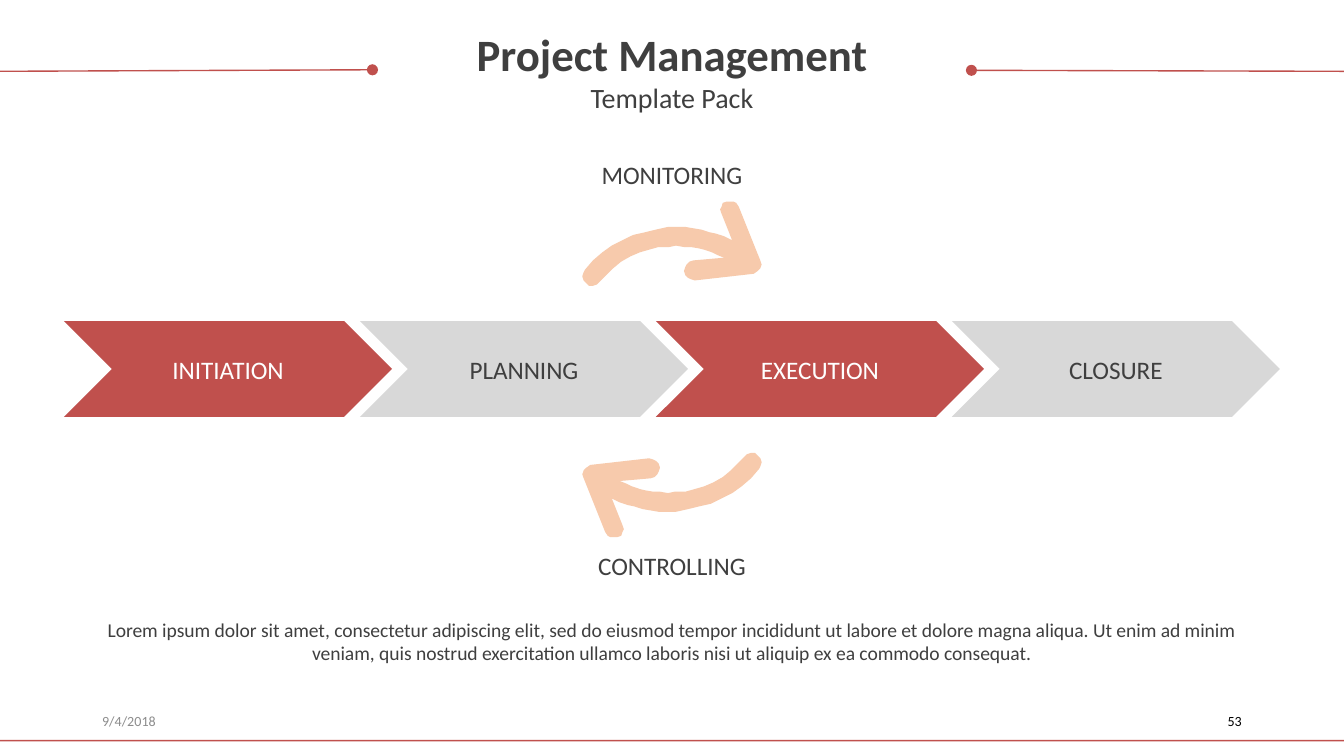
import dataclasses
import typing

import pptx
import pptx.dml.color
import pptx.enum.shapes
import pptx.enum.text
import pptx.oxml
import pptx.oxml.ns
import pptx.util

Cm = pptx.util.Cm
Align = pptx.enum.text.PP_ALIGN
Anchor = pptx.enum.text.MSO_ANCHOR


class Box(typing.NamedTuple):
    left: float
    top: float
    width: float
    height: float

    def lengths(self):
        return [Cm(value) for value in self]


@dataclasses.dataclass(frozen=True)
class Theme:
    font: str = "Calibri"
    accent: str = "C0504D"
    neutral: str = "D8D8D8"
    arrow: str = "F7CAAC"
    text: str = "3F3F3F"
    light: str = "FFFFFF"
    muted: str = "8C8C8C"
    black: str = "000000"
    title_size: float = 24
    subtitle_size: float = 15
    label_size: float = 13.5
    body_size: float = 10.5
    footer_size: float = 7.5
    rule_width: float = 0.75


THEME = Theme()
PADDING = (0.18, 0.1)
STAGES = ["INITIATION", "PLANNING", "EXECUTION", "CLOSURE"]
SUMMARY = (
    "Lorem ipsum dolor sit amet, consectetur adipiscing elit, sed do eiusmod "
    "tempor incididunt ut labore et dolore magna aliqua. Ut enim ad minim "
    "veniam, quis nostrud exercitation ullamco laboris nisi ut aliquip ex ea "
    "commodo consequat."
)
ARROW_GRID_WIDTH = 134
ARROW_OUTLINE = [
    (13, 60), (11, 62), (8, 63), (5, 63), (3, 61), (1, 59), (0, 56), (1, 53),
    (2, 51), (8, 44), (15, 38), (22, 33), (30, 29), (38, 25), (47, 23),
    (55, 21), (64, 19), (70, 19), (77, 19), (83, 20), (89, 21), (95, 23),
    (100, 24), (106, 26), (112, 29), (104, 9), (103, 6), (104, 4), (105, 1),
    (108, 0), (113, 0), (115, 1), (117, 4), (133, 44), (134, 47), (133, 50),
    (131, 52), (128, 54), (84, 59), (81, 58), (79, 57), (77, 55), (76, 52),
    (77, 49), (78, 47), (80, 45), (83, 44), (106, 42), (101, 40), (97, 38),
    (91, 36), (87, 35), (81, 34), (76, 34), (70, 33), (65, 34), (57, 34),
    (50, 36), (43, 38), (36, 41), (29, 45), (23, 50), (18, 55),
]


def rgb(value):
    return pptx.dml.color.RGBColor.from_string(value)


def paint(shape, color):
    shape.shadow.inherit = False
    shape.fill.solid()
    shape.fill.fore_color.rgb = rgb(color)
    shape.line.fill.background()


def prepare_frame(shape, anchor, padding):
    frame = shape.text_frame
    frame.word_wrap = True
    frame.vertical_anchor = anchor
    frame.margin_left = frame.margin_right = Cm(padding[0])
    frame.margin_top = frame.margin_bottom = Cm(padding[1])
    return frame


def add_span(para, text, size, color, align=Align.CENTER, bold=False):
    para.alignment = align
    span = para.add_run()
    span.text = text
    span.font.name = THEME.font
    span.font.size = pptx.util.Pt(size)
    span.font.bold = bold
    span.font.color.rgb = rgb(color)


def add_text(page, box, text, size, color=THEME.text, align=Align.CENTER,
             anchor=Anchor.MIDDLE, padding=(0, 0)):
    shape = page.shapes.add_textbox(*box.lengths())
    frame = prepare_frame(shape, anchor, padding)
    add_span(frame.paragraphs[0], text, size, color, align)


def add_border(page, box, gap_left, gap_right):
    right, bottom = box.left + box.width, box.top + box.height
    corners = [
        (gap_right, box.top - 0.02), (right, box.top), (right, bottom),
        (box.left, bottom), (box.left, box.top), (gap_left, box.top - 0.03),
    ]
    points = [(Cm(x), Cm(y)) for x, y in corners]
    builder = page.shapes.build_freeform(*points[0], scale=1.0)
    builder.add_line_segments(points[1:], close=False)
    border = builder.convert_to_shape()
    border.shadow.inherit = False
    border.fill.background()
    border.line.color.rgb = rgb(THEME.accent)
    border.line.width = pptx.util.Pt(THEME.rule_width)
    line = border.line._get_or_add_ln()
    for tag in ("a:headEnd", "a:tailEnd"):
        end = pptx.oxml.parse_xml(f"<{tag} {pptx.oxml.ns.nsdecls('a')} type='oval'/>")
        line.append(end)


def add_heading(page, box):
    shape = page.shapes.add_textbox(*box.lengths())
    frame = prepare_frame(shape, Anchor.TOP, (0, 0))
    add_span(frame.paragraphs[0], "Project Management", THEME.title_size,
             THEME.text, bold=True)
    add_span(frame.add_paragraph(), "Template Pack", THEME.subtitle_size, THEME.text)


def add_footer(page, box):
    width = 5.72
    right = box.left + box.width - width
    add_text(page, Box(box.left, box.top, width, box.height), "9/4/2018",
             THEME.footer_size, THEME.muted, Align.LEFT, padding=PADDING)
    add_text(page, Box(right, box.top, width, box.height), "53",
             THEME.footer_size, THEME.black, Align.RIGHT, padding=PADDING)


def add_stages(page, box, width):
    pitch = (box.width - width) / (len(STAGES) - 1)
    styles = [(THEME.accent, THEME.light), (THEME.neutral, THEME.text)]
    for index, name in enumerate(STAGES):
        fill, color = styles[index % 2]
        place = Box(box.left + index * pitch, box.top, width, box.height)
        chevron = page.shapes.add_shape(
            pptx.enum.shapes.MSO_SHAPE.CHEVRON, *place.lengths())
        chevron.adjustments[0] = 0.5
        paint(chevron, fill)
        frame = prepare_frame(chevron, Anchor.MIDDLE, PADDING)
        add_span(frame.paragraphs[0], name, THEME.label_size, color)


def add_cycle_arrow(page, box, rotation):
    scale = Cm(box.width) / ARROW_GRID_WIDTH
    builder = page.shapes.build_freeform(*ARROW_OUTLINE[0], scale=scale)
    builder.add_line_segments(ARROW_OUTLINE[1:], close=True)
    arrow = builder.convert_to_shape(Cm(box.left), Cm(box.top))
    arrow.rotation = rotation
    paint(arrow, THEME.arrow)


def add_cycle(page, box):
    label_width, label_height = 7.62, 0.58
    arrow_width, arrow_height, arrow_inset = 3.39, 1.6, 0.81
    label_left = box.left + (box.width - label_width) / 2
    arrow_left = box.left + (box.width - arrow_width) / 2
    bottom = box.top + box.height
    rows = [
        ("MONITORING", box.top, box.top + arrow_inset, 0),
        ("CONTROLLING", bottom - label_height,
         bottom - arrow_inset - arrow_height, 180),
    ]
    for label, label_top, arrow_top, rotation in rows:
        add_cycle_arrow(page, Box(arrow_left, arrow_top, arrow_width, arrow_height),
                        rotation)
        add_text(page, Box(label_left, label_top, label_width, label_height),
                 label, THEME.label_size)


def main():
    deck = pptx.Presentation()
    deck.slide_width, deck.slide_height = Cm(25.4), Cm(14.29)
    page = deck.slides.add_slide(deck.slide_layouts[6])
    add_border(page, Box(-0.3, 1.35, 26, 12.65), gap_left=7.04, gap_right=18.36)
    add_heading(page, Box(0.4, 0.51, 24.6, 1.68))
    add_footer(page, Box(1.75, 13.24, 21.9, 0.76))
    add_stages(page, Box(1.21, 6.07, 22.98, 1.81), width=6.2)
    add_cycle(page, Box(8.89, 3, 7.62, 7.97))
    add_text(page, Box(1.75, 11.68, 21.9, 0.9), SUMMARY, THEME.body_size,
             anchor=Anchor.TOP)
    deck.save("out.pptx")


if __name__ == "__main__":
    main()
